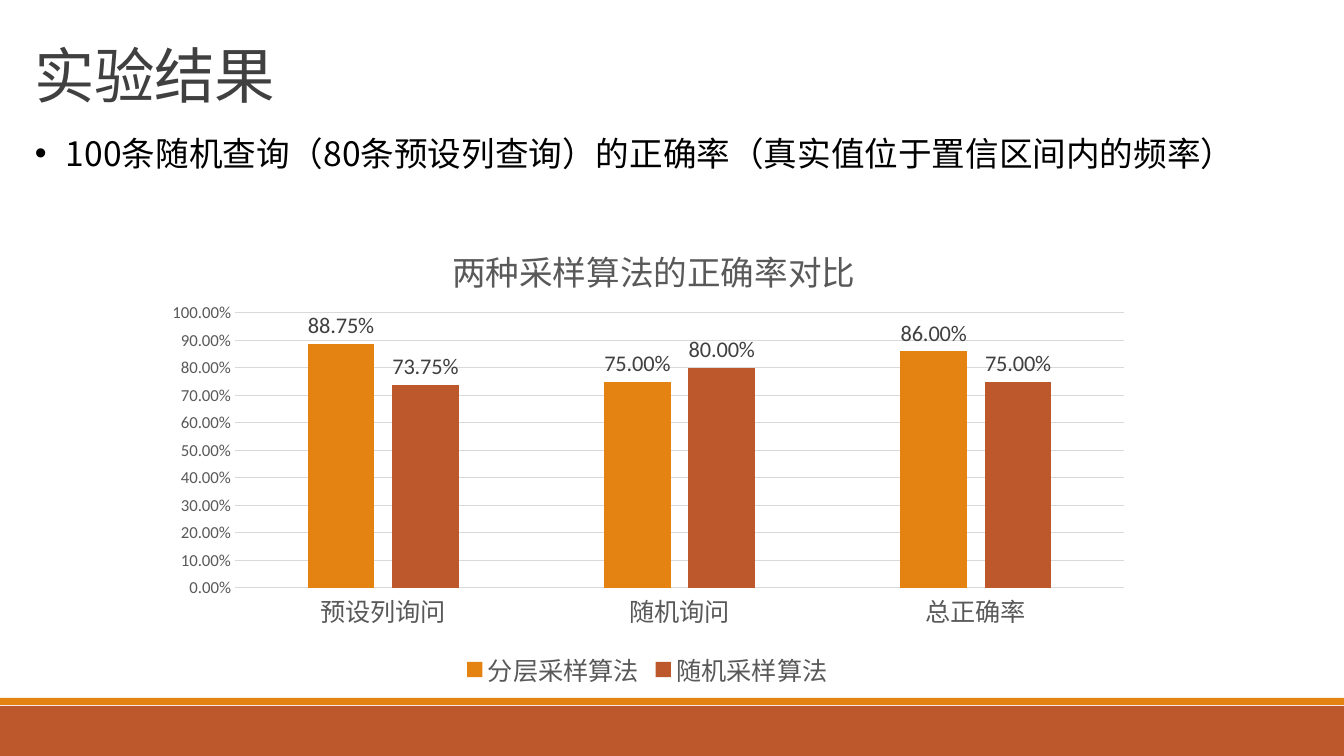
from lxml import etree
from pptx import Presentation, util as u
from pptx.chart.data import CategoryChartData
from pptx.dml.color import RGBColor
from pptx.enum import chart as ch, shapes, text
from pptx.oxml import parse_xml
from pptx.oxml.ns import nsdecls, qn

PX = 914400 / 100.8
CJK = "Noto Sans CJK SC"
ORANGE, RUST, GREY, DARK, RULE = "E48312", "BD582C", "595959", "404040", "D9D9D9"


def rgb(h):
    return RGBColor.from_string(h)


def style(f, size, color, name="Calibri"):
    f.size, f.name, f.bold = u.Pt(size), name, False
    f.color.rgb = rgb(color)
    rpr = f._element if hasattr(f, "_element") else f._rPr
    etree.SubElement(rpr, qn("a:ea")).set("typeface", CJK)


prs = Presentation()
prs.slide_width, prs.slide_height = round(1344 * PX), round(756 * PX)
s = prs.slides.add_slide(prs.slide_layouts[6])

for top, height, color in [(706, 50, RUST), (698, 7, ORANGE)]:
    sp = s.shapes.add_shape(shapes.MSO_SHAPE.RECTANGLE, 0, round(top * PX), prs.slide_width, round(height * PX))
    sp.shadow.inherit = False
    sp.fill.solid()
    sp.fill.fore_color.rgb = rgb(color)
    sp.line.fill.background()

paragraphs = []
for top, width, height, content, size, color, anchor in [
    (26, 284, 90, "实验结果", 43.2, DARK, text.MSO_ANCHOR.BOTTOM),
    (128, 1247, 50, "100条随机查询（80条预设列查询）的正确率（真实值位于置信区间内的频率）", 24, "000000", text.MSO_ANCHOR.TOP),
]:
    sp = s.shapes.add_textbox(round(25 * PX), round(top * PX), round(width * PX), round(height * PX))
    tf = sp.text_frame
    tf.word_wrap = True
    tf.vertical_anchor = anchor
    p = tf.paragraphs[0]
    r = p.add_run()
    r.text = content
    style(r.font, size, color, CJK)
    paragraphs.append(p)

title, bullet = paragraphs
title.line_spacing = 0.85
title.runs[0]._r.get_or_add_rPr().set("spc", "-50")
ppr = bullet._p.get_or_add_pPr()
ppr.set("marL", str(round(31 * PX)))
ppr.set("indent", str(round(-31 * PX)))
etree.SubElement(ppr, qn("a:buFont")).set("typeface", "Arial")
etree.SubElement(ppr, qn("a:buChar")).set("char", "•")

data = CategoryChartData(number_format="0.00%")
data.categories = ["预设列询问", "随机询问", "总正确率"]
data.add_series("分层采样算法", [0.8875, 0.75, 0.86])
data.add_series("随机采样算法", [0.7375, 0.8, 0.75])
chart = s.shapes.add_chart(
    ch.XL_CHART_TYPE.COLUMN_CLUSTERED, round(152 * PX), round(211 * PX), round(991 * PX), round(482 * PX), data
).chart
style(chart.font, 10, "000000")

chart.has_title = True
r = chart.chart_title.text_frame.paragraphs[0].add_run()
r.text = "两种采样算法的正确率对比"
style(r.font, 24, GREY, CJK)
chart.chart_title.include_in_layout = False

chart.has_legend = True
chart.legend.position = ch.XL_LEGEND_POSITION.BOTTOM
chart.legend.include_in_layout = False
style(chart.legend.font, 18, GREY)

cat, val = chart.category_axis, chart.value_axis
for axis, size in [(cat, 18), (val, 12)]:
    axis.major_tick_mark = axis.minor_tick_mark = ch.XL_TICK_MARK.NONE
    style(axis.tick_labels.font, size, GREY)
val.minimum_scale, val.maximum_scale, val.major_unit = 0, 1, 0.1
val.tick_labels.number_format = "0.00%"
val.tick_labels.number_format_is_linked = False
val.format.line.fill.background()
for line in (cat.format.line, val.major_gridlines.format.line):
    line.color.rgb = rgb(RULE)
    line.width = u.Pt(0.75)

plot = chart.plots[0]
plot.vary_by_categories = False
plot.gap_width, plot.overlap = 219, -27
for series, color in zip(plot.series, [ORANGE, RUST]):
    series.format.fill.solid()
    series.format.fill.fore_color.rgb = rgb(color)
    labels = series.data_labels
    labels.show_value = True
    labels.position = ch.XL_LABEL_POSITION.OUTSIDE_END
    labels.number_format = "0.00%"
    labels.number_format_is_linked = False
    style(labels.font, 16, DARK)

area = chart._chartSpace.chart.plotArea
heading = chart.chart_title._element
for parent, index, places in [
    (area, 0, [("x", 83 / 991), ("y", 102 / 482), ("w", 889 / 991), ("h", 275 / 482)]),
    (heading, 1, [("x", 294 / 991), ("y", 26 / 482)]),
]:
    for old in parent.findall(qn("c:layout")):
        parent.remove(old)
    target = '<c:layoutTarget val="inner"/>' if parent is area else ""
    modes = "".join(f'<c:{k}Mode val="edge"/>' for k, _ in places if k in "xy")
    sizes = "".join(f'<c:{k} val="{v:.4f}"/>' for k, v in places)
    parent.insert(index, parse_xml(
        f'<c:layout {nsdecls("c")}><c:manualLayout>{target}{modes}{sizes}</c:manualLayout></c:layout>'
    ))

prs.save("out.pptx")
